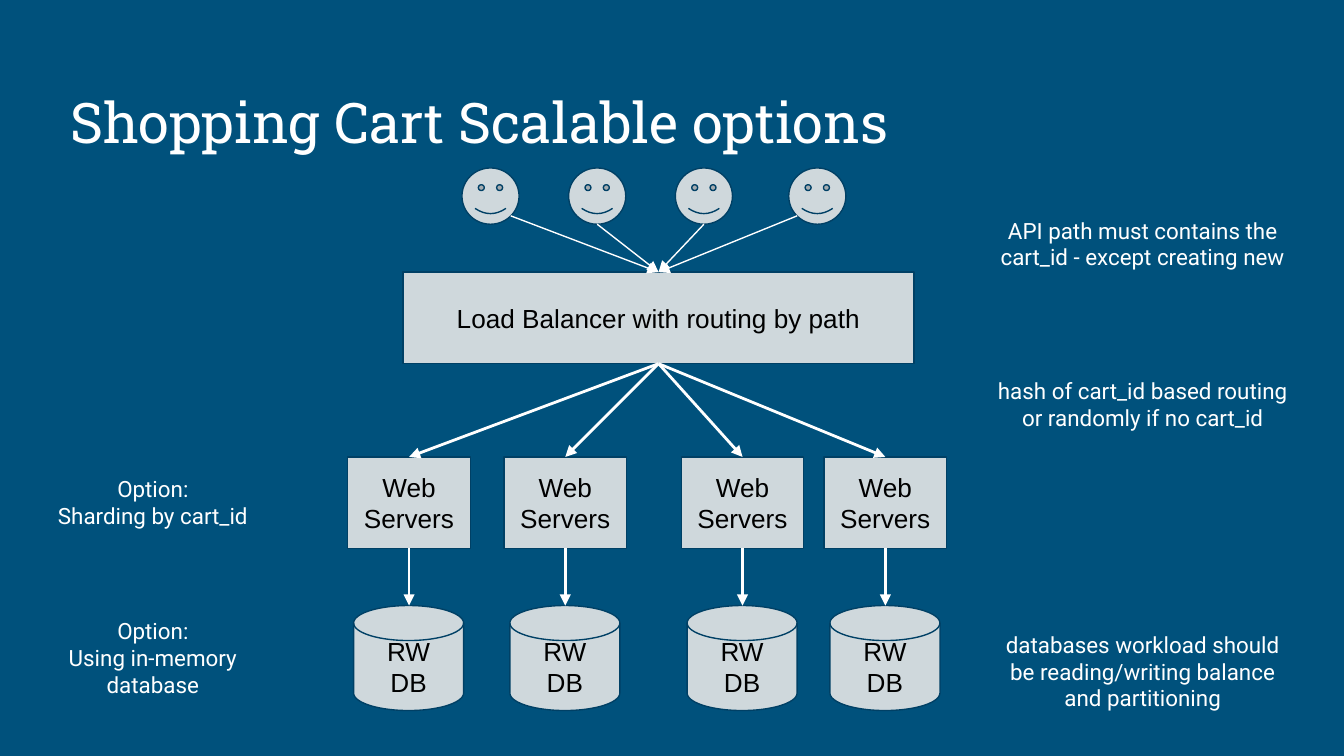
import pptx
import pptx.dml.color
import pptx.enum.shapes
import pptx.enum.text
import pptx.oxml.ns
import pptx.util
from lxml import etree

PX = 5715  # EMU per px, at 160 px to the inch
RGB = pptx.dml.color.RGBColor.from_string
SHAPE = pptx.enum.shapes.MSO_SHAPE
ALIGN = pptx.enum.text.PP_ALIGN
ANCHOR = pptx.enum.text.MSO_ANCHOR
qn = pptx.oxml.ns.qn

THEME = {
    "background": RGB("00517C"),
    "fill": RGB("CFD8DC"),
    "outline": RGB("004065"),
    "light": RGB("FFFFFF"),
    "dark": RGB("000000"),
    "title": ("Roboto Slab", 30),
    "note": ("Roboto", 12),
    "node": ("Arial", 14),
    "thin": 0.75,
    "thick": 1.5,
}


def add_box(kind, left, top, width, height, text="", style="node",
            align=ALIGN.CENTER, anchor=ANCHOR.MIDDLE):
    """Add a filled shape, or a plain text box when kind is None."""
    area = [value * PX for value in (left, top, width, height)]
    if kind is None:
        shape = slide.shapes.add_textbox(*area)
    else:
        shape = slide.shapes.add_shape(kind, *area)
        shape.shadow.inherit = False
        shape.fill.solid()
        shape.fill.fore_color.rgb = THEME["fill"]
        shape.line.color.rgb = THEME["outline"]
        shape.line.width = pptx.util.Pt(THEME["thin"])
    frame = shape.text_frame
    frame.word_wrap = True
    frame.vertical_anchor = anchor
    frame.margin_left = frame.margin_right = 16 * PX
    frame.margin_top = frame.margin_bottom = 16 * PX
    frame.text = text
    for paragraph in frame.paragraphs:
        paragraph.alignment = align
        for run in paragraph.runs:
            run.font.name, size = THEME[style]
            run.font.size = pptx.util.Pt(size)
            run.font.color.rgb = THEME["light" if kind is None else "dark"]
    return shape


def add_arrow(start, end, width):
    points = [value * PX for value in (*start, *end)]
    arrow = slide.shapes.add_connector(
        pptx.enum.shapes.MSO_CONNECTOR.STRAIGHT, *points)
    arrow.line.color.rgb = THEME["light"]
    arrow.line.width = pptx.util.Pt(width)
    properties = arrow.element.spPr
    line = properties.find(qn("a:ln"))
    etree.SubElement(line, qn("a:tailEnd"), type="triangle")
    etree.SubElement(properties, qn("a:effectLst"))


presentation = pptx.Presentation()
presentation.slide_width = 1600 * PX
presentation.slide_height = 900 * PX
slide = presentation.slides.add_slide(presentation.slide_layouts[6])
slide.background.fill.solid()
slide.background.fill.fore_color.rgb = THEME["background"]

# Title
add_box(None, 68, 80, 1464, 120, "Shopping Cart Scalable options", "title",
        ALIGN.LEFT, ANCHOR.BOTTOM)

# Load balancer
balancer_top = (784, 324)
balancer_bottom = (784, 433)
add_box(SHAPE.FLOWCHART_PROCESS, 480, 324, 608, 109,
        "Load Balancer with routing by path")

# Users: left edge of each face, and where its arrow starts
for left, start in ((550, (608, 257)), (677, (711, 267)),
                    (804, (838, 267)), (939, (949, 257))):
    face = add_box(SHAPE.SMILEY_FACE, left, 200, 68, 67)
    face.adjustments[0] = 0.047
    add_arrow(start, balancer_top, THEME["thin"])

# Web server and database columns, by centre
for center in (487, 673, 884, 1054):
    add_box(SHAPE.RECTANGLE, center - 73, 544, 146, 109, "Web Servers")
    add_box(SHAPE.FLOWCHART_MAGNETIC_DISK, center - 66, 721, 131, 125, "RW DB")
    add_arrow(balancer_bottom, (center, 544), THEME["thick"])
    add_arrow((center, 653), (center, 721), THEME["thick"])

# Side notes
left_column = (42, 280)
right_column = (1170, 381)
for (left, width), top, height, text in (
    (left_column, 550, 96, "Option:\nSharding by cart_id"),
    (left_column, 719, 128, "Option:\nUsing in-memory database"),
    (right_column, 242, 96,
     "API path must contains the cart_id - except creating new"),
    (right_column, 433, 96,
     "hash of cart_id based routing or randomly if no cart_id"),
    (right_column, 735, 128,
     "databases workload should be reading/writing balance and partitioning"),
):
    add_box(None, left, top, width, height, text, "note", anchor=ANCHOR.TOP)

presentation.save("out.pptx")
